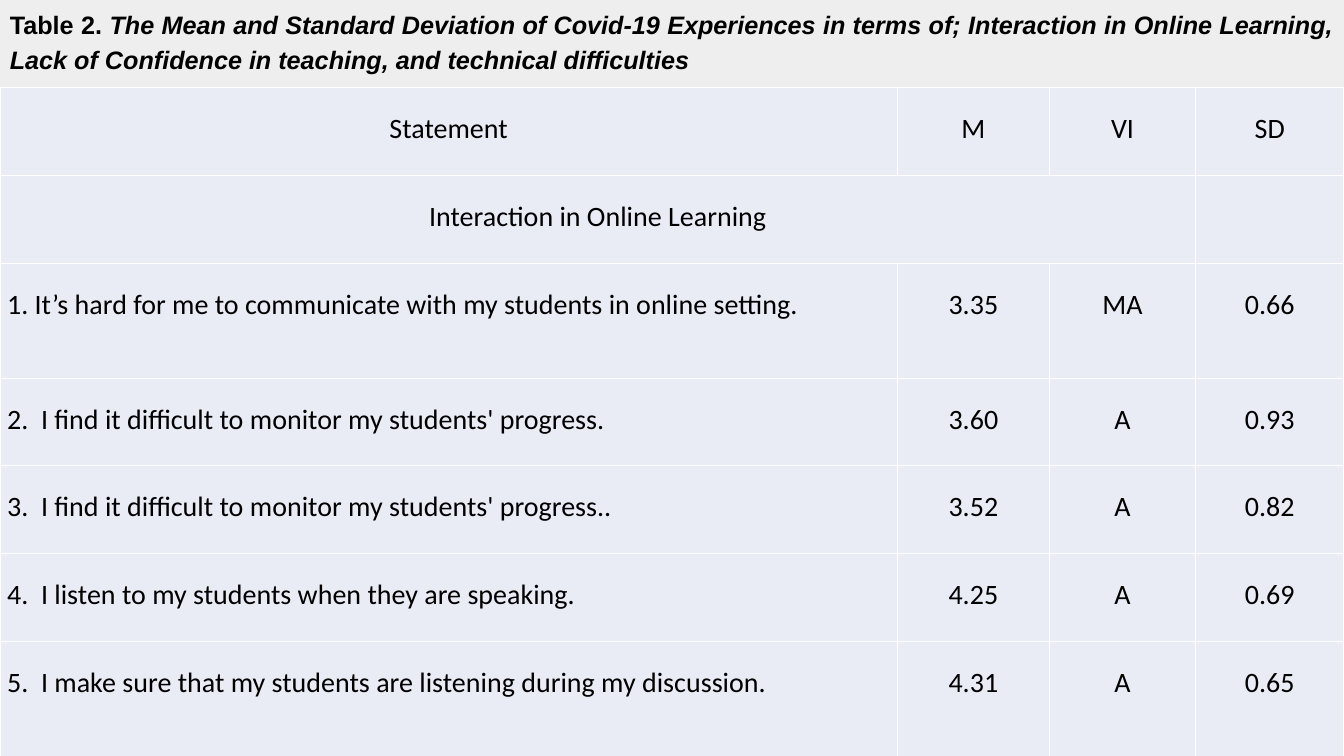
import pptx
import pptx.dml.color
import pptx.enum.text
import pptx.oxml
import pptx.oxml.ns
import pptx.util
from pptx.util import Cm

CENTER = pptx.enum.text.PP_ALIGN.CENTER
JUSTIFY = pptx.enum.text.PP_ALIGN.JUSTIFY


def color(value):
    return pptx.dml.color.RGBColor.from_string(value)


class SlideBuilder:
    ink = "000000"
    background = "EEEEEE"
    cell_fill = "E9EBF5"
    border = "FFFFFF"
    heading_font = "Arial"
    table_font = "Calibri"
    cell_margin = Cm(0.18)

    def __init__(self, deck):
        self.slide = deck.slides.add_slide(deck.slide_layouts[6])
        fill = self.slide.background.fill
        fill.solid()
        fill.fore_color.rgb = color(self.background)

    def add_text(self, frame, runs, font, size, align, line_spacing, after):
        paragraph = frame.paragraphs[0]
        paragraph.alignment = align
        paragraph.line_spacing = line_spacing
        paragraph.space_before = pptx.util.Pt(12)
        paragraph.space_after = pptx.util.Pt(after)
        for text, bold, italic in runs:
            run = paragraph.add_run()
            run.text = text
            run.font.name = font
            run.font.size = pptx.util.Pt(size)
            run.font.bold = bold
            run.font.italic = italic
            run.font.color.rgb = color(self.ink)

    def heading(self, runs, left, top, width, height):
        frame = self.slide.shapes.add_textbox(left, top, width, height).text_frame
        frame.word_wrap = True
        frame.auto_size = pptx.enum.text.MSO_AUTO_SIZE.SHAPE_TO_FIT_TEXT
        self.add_text(frame, runs, self.heading_font, 18, JUSTIFY, 1.15, 8)

    def style_cell(self, cell):
        cell.margin_left = cell.margin_right = self.cell_margin
        cell.margin_top = cell.margin_bottom = self.cell_margin
        properties = cell._tc.get_or_add_tcPr()
        for side in ("lnL", "lnR", "lnT", "lnB"):
            properties.append(pptx.oxml.parse_xml(
                f'<a:{side} {pptx.oxml.ns.nsdecls("a")} w="12700"><a:solidFill>'
                f'<a:srgbClr val="{self.border}"/></a:solidFill></a:{side}>'))
        cell.fill.solid()
        cell.fill.fore_color.rgb = color(self.cell_fill)

    def table(self, rows, left, top, widths, heights):
        table = self.slide.shapes.add_table(
            len(rows), len(widths), left, top, sum(widths), sum(heights)).table
        table.first_row = False
        table.horz_banding = False
        for column, width in zip(table.columns, widths):
            column.width = width
        for row, height in zip(table.rows, heights):
            row.height = height
        for row_index, values in enumerate(rows):
            for column_index, value in enumerate(values):
                cell = table.cell(row_index, column_index)
                self.style_cell(cell)
                if value:
                    is_statement = column_index == 0 and row_index > 1
                    self.add_text(cell.text_frame, [(value, False, False)], self.table_font,
                                  20, JUSTIFY if is_statement else CENTER, 1.5, 12)
        return table


def main():
    deck = pptx.Presentation()
    deck.slide_width = Cm(33.87)
    deck.slide_height = Cm(19.05)
    builder = SlideBuilder(deck)

    survey = [
        ("Statement", "M", "VI", "SD"),
        ("Interaction in Online Learning", "", "", ""),
        ("1. It’s hard for me to communicate with my students in online setting.",
         "3.35", "MA", "0.66"),
        ("2.  I find it difficult to monitor my students' progress.", "3.60", "A", "0.93"),
        ("3.  I find it difficult to monitor my students' progress..", "3.52", "A", "0.82"),
        ("4.  I listen to my students when they are speaking.", "4.25", "A", "0.69"),
        ("5.  I make sure that my students are listening during my discussion.",
         "4.31", "A", "0.65"),
    ]
    widths = [Cm(22.61), Cm(3.84), Cm(3.68), Cm(3.74)]
    regular, tall = Cm(2.21), Cm(2.9)
    heights = [regular, regular, tall, regular, regular, regular, tall]
    results = builder.table(survey, Cm(0), Cm(2.21), widths, heights)
    results.cell(1, 0).merge(results.cell(1, 2))

    builder.heading([
        ("Table 2. ", True, False),
        ("The Mean and Standard Deviation of Covid-19 Experiences in terms of; "
         "Interaction in Online Learning, Lack of Confidence in teaching, "
         "and technical difficulties", True, True),
    ], Cm(0), Cm(0), deck.slide_width, Cm(1.98))

    deck.save("out.pptx")


if __name__ == "__main__":
    main()
